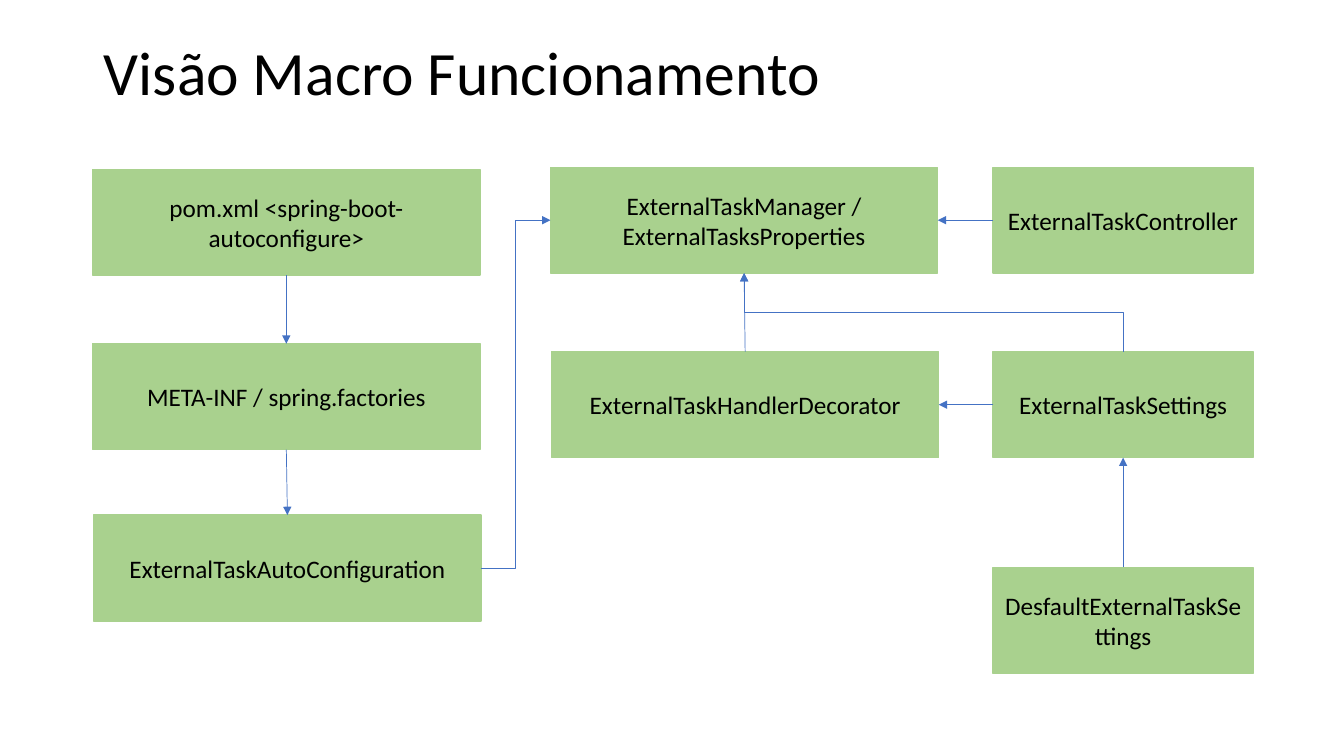
import pptx
import pptx.util
import pptx.dml.color
import pptx.enum.shapes
import pptx.enum.text
import pptx.oxml.ns
import lxml.etree

Pt = pptx.util.Pt
Kind = pptx.enum.shapes.MSO_CONNECTOR
Align = pptx.enum.text.PP_ALIGN
Anchor = pptx.enum.text.MSO_ANCHOR
HUES = {"ink": "000000", "box": "A9D18E", "line": "4472C4"}
SIDES = {"top": 0, "left": 1, "bottom": 2, "right": 3}
FRAME = {"word_wrap": True, "vertical_anchor": Anchor.MIDDLE,
         "auto_size": pptx.enum.text.MSO_AUTO_SIZE.NONE}
TITLE = {"alignment": Align.LEFT, "line_spacing": 0.9}
LABEL = {"alignment": Align.CENTER}


def apply(item, form):
    """Set each attribute of item from the dict form."""
    for name, value in form.items():
        setattr(item, name, value)


def hue(name):
    """Return the named colour."""
    return pptx.dml.color.RGBColor.from_string(HUES[name])


class Page:
    """Hold the style and the slide; lengths are percent of its size."""

    def __init__(self, deck):
        """Add a slide that has a title only."""
        self.wide, self.high = deck.slide_width, deck.slide_height
        self.slide = deck.slides.add_slide(deck.slide_layouts[5])
        self.font = "Calibri"

    def place(self, left, top, width, height):
        """Turn percent shares into lengths."""
        sizes = (self.wide, self.high) * 2
        return [round(part * size / 100)
                for part, size in zip((left, top, width, height), sizes)]

    def label(self, shape, text, size, form):
        """Fill a shape with one formatted paragraph."""
        apply(shape.text_frame, FRAME)
        para = shape.text_frame.paragraphs[0]
        apply(para, form)
        run = para.add_run()
        run.text = text
        apply(run.font, {"name": self.font, "size": Pt(size)})
        run.font.color.rgb = hue("ink")

    def title(self, text, *area):
        """Move and fill the title placeholder."""
        shape = self.slide.shapes.title
        apply(shape, dict(zip(("left", "top", "width", "height"),
                              self.place(*area))))
        self.label(shape, text, 44, TITLE)

    def box(self, text, *area):
        """Draw a filled box with a centred label."""
        shape = self.slide.shapes.add_shape(
            pptx.enum.shapes.MSO_SHAPE.RECTANGLE, *self.place(*area))
        shape.shadow.inherit = False
        shape.fill.solid()
        shape.fill.fore_color.rgb = hue("box")
        shape.line.color.rgb = hue("box")
        shape.line.width = Pt(1)
        self.label(shape, text, 18, LABEL)
        return shape

    def arrow(self, start, out, end, into, kind=Kind.STRAIGHT):
        """Join the sides of two boxes with an arrow."""
        link = self.slide.shapes.add_connector(kind, 0, 0, 0, 0)
        link.begin_connect(start, SIDES[out])
        link.end_connect(end, SIDES[into])
        link.line.color.rgb = hue("line")
        link.line.width = Pt(0.5)
        name = pptx.oxml.ns.qn
        edge = link._element.spPr.find(name("a:ln"))
        lxml.etree.SubElement(edge, name("a:tailEnd"), type="triangle")
        lxml.etree.SubElement(link._element.spPr, name("a:effectLst"))
        return link

    def rise(self, start, end):
        """Join a top to a bottom up and to the left with a turned elbow."""
        link = self.arrow(start, "top", end, "bottom", Kind.ELBOW)
        wide, high = link.width, link.height
        shift = (wide - high) // 2
        apply(link, {"left": link.left + shift, "top": link.top - shift,
                     "width": high, "height": wide})
        frame = link._element.spPr.find(pptx.oxml.ns.qn("a:xfrm"))
        for key, value in {"rot": "16200000", "flipH": "0",
                           "flipV": "1"}.items():
            frame.set(key, value)


deck = pptx.Presentation()
deck.slide_width = pptx.util.Inches(13.33)
deck.slide_height = pptx.util.Inches(7.5)
page = Page(deck)
page.title("Visão Macro Funcionamento", 6.98, 0.27, 86.27, 19.33)

BROAD, SLIM, TALL = 28.81, 19.35, 14
ITEMS = {
    "pom": ("pom.xml <spring-boot-autoconfigure>", 6.9, 22.4, BROAD),
    "meta": ("META-INF / spring.factories", 6.9, 45.47, BROAD),
    "auto": ("ExternalTaskAutoConfiguration", 6.98, 68.13, BROAD),
    "task": ("ExternalTaskManager / ExternalTasksProperties",
             40.96, 22.13, BROAD),
    "decor": ("ExternalTaskHandlerDecorator", 41.04, 46.53, BROAD),
    "control": ("ExternalTaskController", 73.89, 22.13, SLIM),
    "setup": ("ExternalTaskSettings", 73.89, 46.53, SLIM),
    "default": ("DesfaultExternalTaskSettings", 73.89, 75.07, SLIM),
}
boxes = {key: page.box(*item, TALL) for key, item in ITEMS.items()}

LINKS = [
    ("pom", "bottom", "meta", "top"),
    ("meta", "bottom", "auto", "top"),
    ("auto", "right", "task", "left", Kind.ELBOW),
    ("decor", "top", "task", "bottom"),
    ("default", "top", "setup", "bottom"),
    ("control", "left", "task", "right"),
    ("setup", "left", "decor", "right"),
]
for start, out, end, *rest in LINKS:
    page.arrow(boxes[start], out, boxes[end], *rest)
page.rise(boxes["setup"], boxes["task"])

deck.save("out.pptx")
